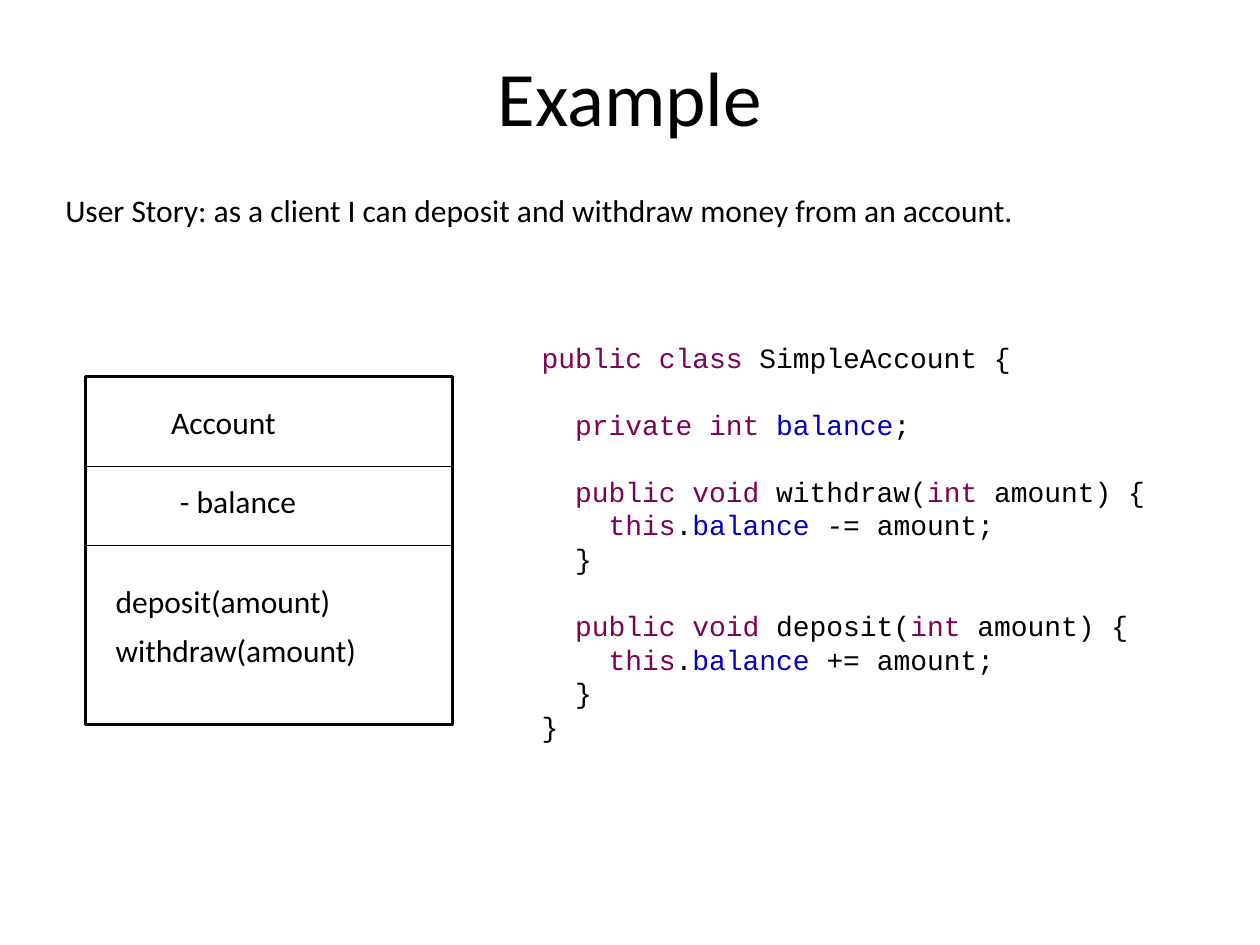
from lxml.etree import SubElement
from pptx import Presentation
from pptx.dml.color import RGBColor
from pptx.enum.shapes import MSO_CONNECTOR, MSO_SHAPE
from pptx.enum.text import PP_ALIGN
from pptx.oxml.ns import qn
from pptx.util import Inches, Pt

COLORS = {"text": "000000", "paper": "FFFFFF", "keyword": "7F0055", "field": "0000C0"}

TITLE = "Example"
STORY = "User Story: as a client I can deposit and withdraw money from an account."

CLASS_BOX = (0.68, 2.99, 2.91, 2.76)
DIVIDERS = [3.7, 4.33]
CLASS_LABELS = [
    ("Account", 1.26, 3.15, 2.03),
    ("- balance", 1.33, 3.78, 1.14),
    ("deposit(amount)", 0.82, 4.57, 2.4),
    ("withdraw(amount)", 0.82, 4.96, 2.62),
]


def method(name, operator):
    return [
        [("  public void ", "keyword"), (f"{name}(", "text"), ("int ", "keyword"), ("amount) {", "text")],
        [("    this", "keyword"), (".", "text"), ("balance ", "field"), (f"{operator} amount;", "text")],
        [("  }", "text")],
    ]


CODE_BLOCKS = [
    [[("public class ", "keyword"), ("SimpleAccount {", "text")]],
    [[("  private int ", "keyword"), ("balance", "field"), (";", "text")]],
    method("withdraw", "-="),
    method("deposit", "+=") + [[("}", "text")]],
]
CODE_PITCH = 19.2


def rgb(name):
    return RGBColor.from_string(COLORS[name])


def add_run(p, text, size=18, font="Calibri", color="text"):
    r = p.add_run()
    r.text = text
    r.font.size = Pt(size)
    r.font.name = font
    r.font.color.rgb = rgb(color)


def add_text(shapes, text, at, align=PP_ALIGN.LEFT, **fmt):
    tf = shapes.add_textbox(*map(Inches, at)).text_frame
    tf.word_wrap = True
    p = tf.paragraphs[0]
    p.alignment = align
    add_run(p, text, **fmt)


def add_class_diagram(shapes):
    left, top, width, height = CLASS_BOX
    sp = shapes.add_shape(MSO_SHAPE.RECTANGLE, *map(Inches, CLASS_BOX))
    sp.shadow.inherit = False
    sp.fill.solid()
    sp.fill.fore_color.rgb = rgb("paper")
    sp.line.color.rgb = rgb("text")
    sp.line.width = Pt(2)
    for y in DIVIDERS:
        line = shapes.add_connector(MSO_CONNECTOR.STRAIGHT, *map(Inches, (left, y, left + width, y)))
        line.line.color.rgb = rgb("text")
        line.line.width = Pt(0.75)
        SubElement(line._element.spPr, qn("a:effectLst"))
    for text, x, y, w in CLASS_LABELS:
        add_text(shapes, text, (x, y, w, 0.4))


def add_code(shapes, at):
    tf = shapes.add_textbox(*map(Inches, at)).text_frame
    tf.word_wrap = True
    p = tf.paragraphs[0]
    for b, block in enumerate(CODE_BLOCKS):
        for i, tokens in enumerate(block):
            if b or i:
                p = tf.add_paragraph()
            if b and i == 0:
                p.space_before = Pt(CODE_PITCH)
            p.line_spacing = Pt(CODE_PITCH)
            for text, color in tokens:
                add_run(p, text, size=16, font="Courier New", color=color)


def main():
    prs = Presentation()
    prs.slide_width, prs.slide_height = Inches(10), Inches(7.5)
    s = prs.slides.add_slide(prs.slide_layouts[6])
    add_text(s.shapes, TITLE, (0.5, 0.34, 9, 1.2), align=PP_ALIGN.CENTER, size=44)
    add_class_diagram(s.shapes.add_group_shape().shapes)
    add_text(s.shapes, STORY, (0.42, 1.47, 9.16, 0.4))
    add_code(s.shapes, (4.2, 2.65, 5.21, 3.46))
    prs.save("out.pptx")


if __name__ == "__main__":
    main()
